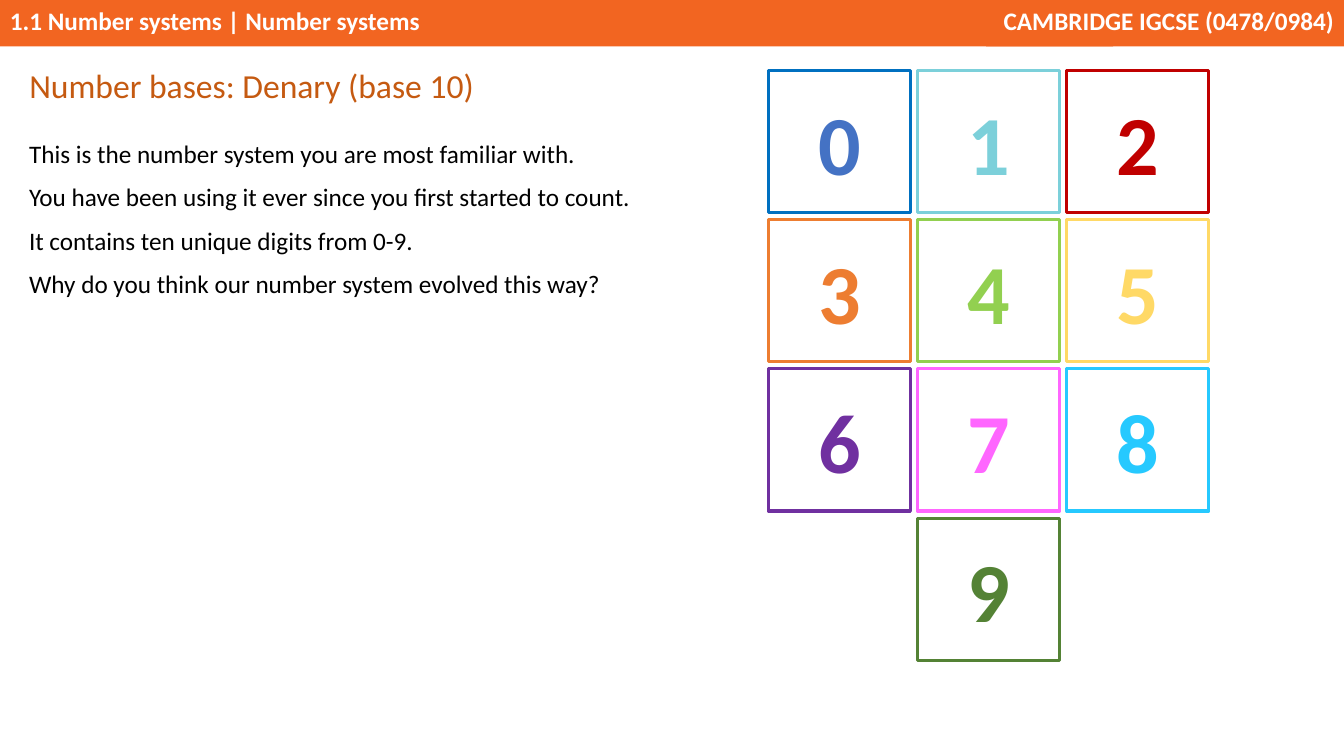
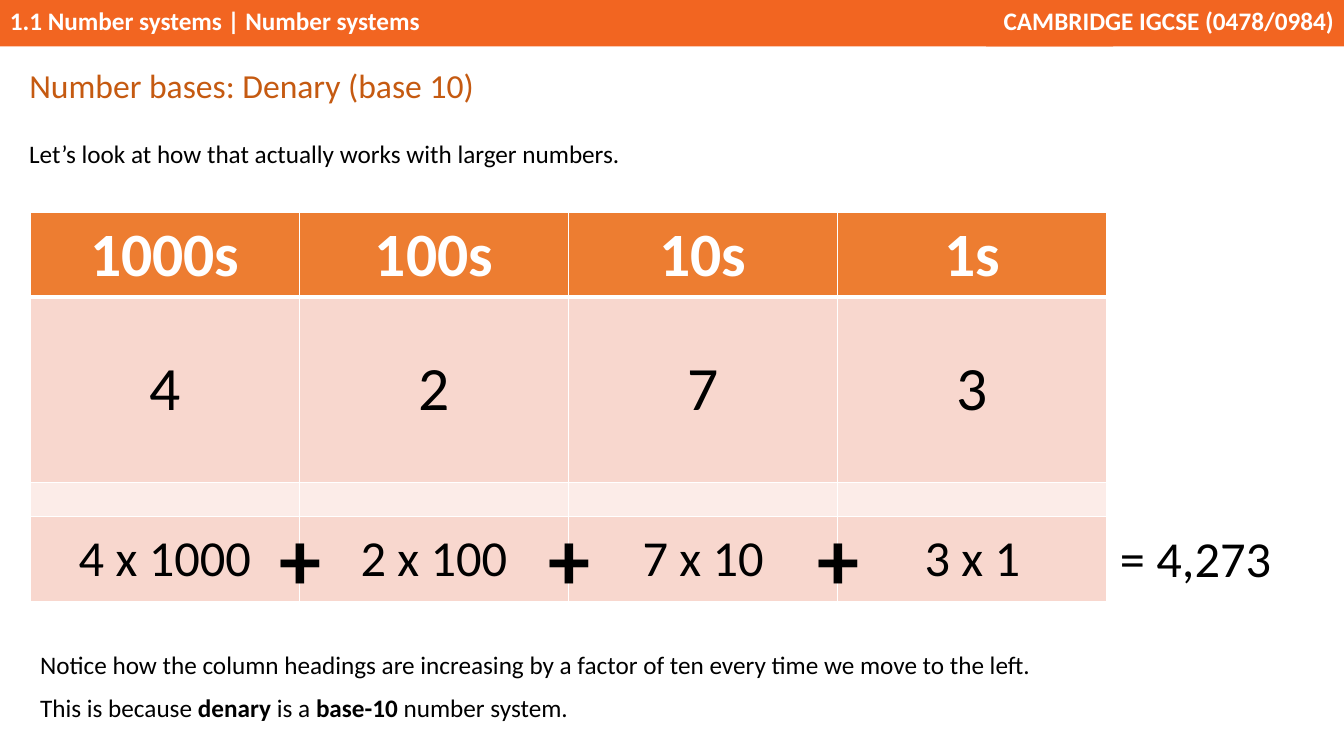
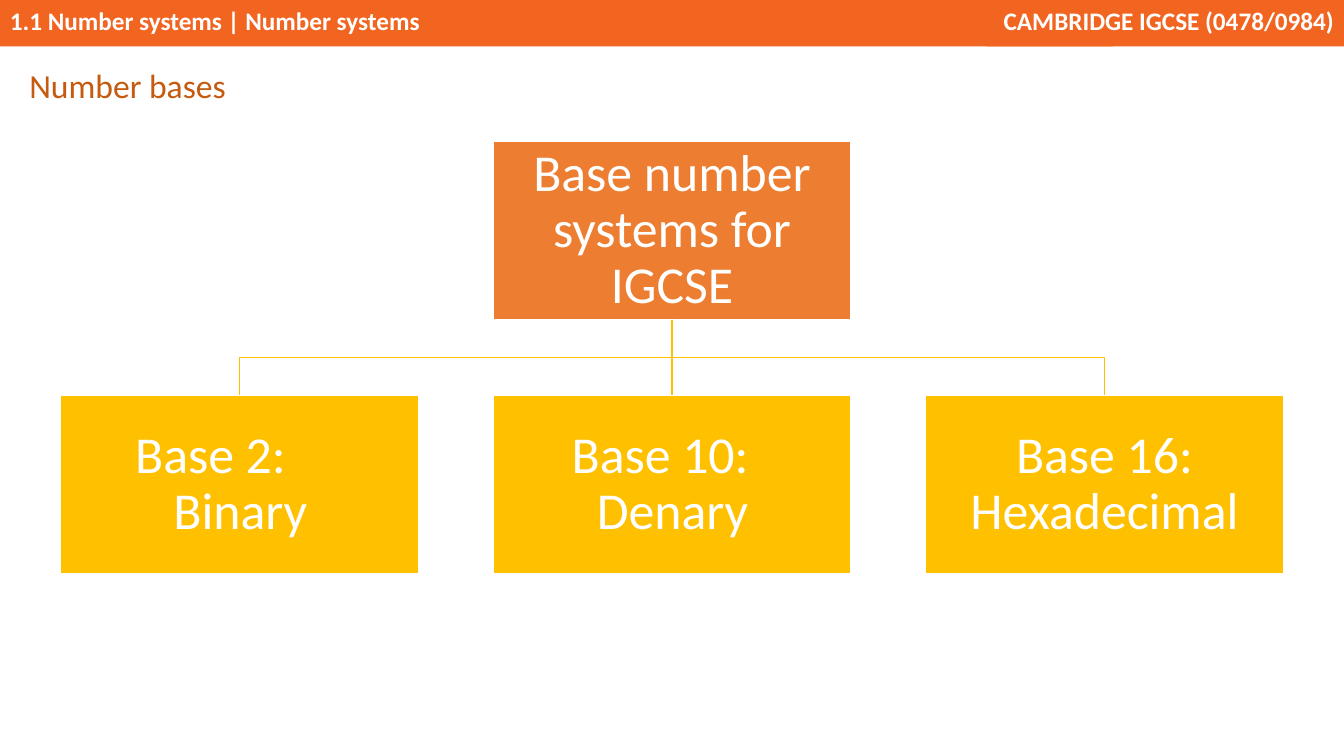
from lxml import etree
from pptx import Presentation
from pptx.dml.color import RGBColor as RGB
from pptx.enum.shapes import MSO_CONNECTOR as LINK, MSO_SHAPE as SHAPE
from pptx.enum.text import MSO_ANCHOR as ANCHOR, MSO_AUTO_SIZE as FIT, PP_ALIGN as ALIGN
from pptx.oxml.ns import qn
from pptx.util import Pt

EMU_PER_PX = 9144
FONT = "Calibri"

WHITE = RGB(0xFF, 0xFF, 0xFF)
BLACK = RGB(0x00, 0x00, 0x00)
BAND = RGB(0xF2, 0x65, 0x21)
TITLE = RGB(0xC5, 0x5A, 0x11)
ORANGE = RGB(0xED, 0x7D, 0x31)
AMBER = RGB(0xFF, 0xC0, 0x00)
PINK = RGB(0xF8, 0xD7, 0xCE)
PALE_PINK = RGB(0xFC, 0xEC, 0xE8)
BLUE = RGB(0x00, 0x70, 0xC0)
SOFT_BLUE = RGB(0x44, 0x72, 0xC4)
TEAL = RGB(0x7C, 0xD0, 0xDA)
RED = RGB(0xC0, 0x00, 0x00)
LIME = RGB(0x92, 0xD0, 0x50)
YELLOW = RGB(0xFF, 0xD9, 0x66)
PURPLE = RGB(0x70, 0x30, 0xA0)
MAGENTA = RGB(0xFF, 0x66, 0xFF)
SKY = RGB(0x26, 0xC9, 0xFF)
GREEN = RGB(0x54, 0x82, 0x35)

BODY = dict(size=18, line_spacing=1.07, space_after=8)
TILE_SIZE, TILE_PITCH = 141, 148
COLUMN_WIDTH = 267
NODE_WIDTH, NODE_HEIGHT, NODE_PITCH = 355, 177, 429


def px(*lengths):
    return [length * EMU_PER_PX for length in lengths]


def write(frame, *paragraphs, size=18, color=BLACK, bold=False, align=ALIGN.LEFT,
          line_spacing=None, space_after=None, indent=0, hanging=0):
    for index, runs in enumerate(paragraphs):
        paragraph = frame.paragraphs[0] if index == 0 else frame.add_paragraph()
        paragraph.alignment = align
        if line_spacing:
            paragraph.line_spacing = line_spacing
        if space_after is not None:
            paragraph.space_after = Pt(space_after)
        if indent:
            properties = paragraph._p.get_or_add_pPr()
            properties.set("marL", str(indent * EMU_PER_PX))
            properties.set("indent", str(-hanging * EMU_PER_PX))
        for text, strong in [(runs, bold)] if isinstance(runs, str) else runs:
            run = paragraph.add_run()
            run.text = text
            run.font.name = FONT
            run.font.size = Pt(size)
            run.font.bold = strong
            run.font.color.rgb = color


def add_text(slide, box, *paragraphs, wrap=True, **style):
    frame = slide.shapes.add_textbox(*px(*box)).text_frame
    frame.word_wrap = wrap
    write(frame, *paragraphs, **style)


def add_box(slide, box, text, fill, line=None, weight=1, anchor=ANCHOR.MIDDLE,
            inset=None, **style):
    shape = slide.shapes.add_shape(SHAPE.RECTANGLE, *px(*box))
    shape.shadow.inherit = False
    shape.fill.solid()
    shape.fill.fore_color.rgb = fill
    if line is None:
        shape.line.fill.background()
    else:
        shape.line.color.rgb = line
        shape.line.width = Pt(weight)
    frame = shape.text_frame
    frame.word_wrap = True
    frame.vertical_anchor = anchor
    if inset is not None:
        frame.margin_left = frame.margin_right = inset * EMU_PER_PX
        frame.margin_top = frame.margin_bottom = inset * EMU_PER_PX
    write(frame, text, **style)
    return shape


def add_titled_slide(prs, text, width=477):
    slide = prs.slides.add_slide(prs.slide_layouts[5])
    title = slide.shapes.title
    title.left, title.top, title.width, title.height = px(19, 57, width, 51)
    frame = title.text_frame
    frame.auto_size = FIT.NONE
    frame.word_wrap = False
    frame.vertical_anchor = ANCHOR.TOP
    write(frame, text, size=24, color=TITLE, line_spacing=1.07, space_after=8)
    return slide


def put_header_on_layout(slide):
    style = dict(fill=BAND, anchor=ANCHOR.TOP, color=WHITE, bold=True)
    topic = add_box(slide, (0, 0, 1104, 46), "1.1 Number systems | Number systems", **style)
    course = add_box(slide, (978, 0, 355, 46), "CAMBRIDGE IGCSE (0478/0984)",
                     align=ALIGN.RIGHT, **style)
    for shape_id, band in enumerate((topic, course), start=20):
        band.element.nvSpPr.cNvPr.set("id", str(shape_id))
        slide.slide_layout.shapes.element.append(band.element)


def set_borders(cell, bottom):
    properties = cell._tc.get_or_add_tcPr()
    for side, weight in (("L", 1), ("R", 1), ("T", 1), ("B", bottom)):
        border = etree.SubElement(properties, qn(f"a:ln{side}"), w=str(Pt(weight)))
        fill = etree.SubElement(border, qn("a:solidFill"))
        etree.SubElement(fill, qn("a:srgbClr"), val=str(WHITE))


def add_place_value_table(slide):
    header = dict(size=44, color=WHITE, bold=True)
    rows = [
        (82, ORANGE, ("1000s", "100s", "10s", "1s"), header),
        (184, PINK, ("4", "2", "7", "3"), dict(size=44)),
        (34, PALE_PINK, ("", "", "", ""), {}),
        (85, PINK, ("4 x 1000", "2 x 100", "7 x 10", "3 x 1"), dict(size=36)),
    ]
    height = sum(row[0] for row in rows)
    table = slide.shapes.add_table(4, 4, *px(30, 211, 4 * COLUMN_WIDTH, height)).table
    for column in table.columns:
        column.width = COLUMN_WIDTH * EMU_PER_PX
    for index, (row_height, fill, texts, style) in enumerate(rows):
        table.rows[index].height = row_height * EMU_PER_PX
        for cell, text in zip(table.rows[index].cells, texts):
            set_borders(cell, bottom=3 if index == 0 else 1)
            cell.fill.solid()
            cell.fill.fore_color.rgb = fill
            cell.vertical_anchor = ANCHOR.TOP if index == 0 else ANCHOR.MIDDLE
            if text:
                write(cell.text_frame, text, align=ALIGN.CENTER, **style)
            else:
                cell.margin_top = cell.margin_bottom = 0


def add_node(slide, left, top, text, fill, **style):
    return add_box(slide, (left, top, NODE_WIDTH, NODE_HEIGHT), text, fill, line=WHITE,
                   inset=3, size=37, color=WHITE, line_spacing=0.9, **style)


def add_branch(slide, parent, child):
    start_x = parent.left + parent.width // 2
    end_x = child.left + child.width // 2
    start_y = parent.top + parent.height
    middle_y = (start_y + child.top) // 2
    outline = slide.shapes.build_freeform(start_x, start_y)
    outline.add_line_segments(
        [(start_x, middle_y), (end_x, middle_y), (end_x, child.top)], close=False)
    branch = outline.convert_to_shape()
    branch.shadow.inherit = False
    branch.fill.background()
    branch.line.color.rgb = AMBER
    branch.line.width = Pt(1)


def add_stem(slide, parent, child):
    stem = slide.shapes.add_connector(LINK.STRAIGHT, 0, 0, 0, 0)
    stem.begin_connect(parent, 2)
    stem.end_connect(child, 0)
    stem.line.color.rgb = AMBER
    stem.line.width = Pt(1)
    etree.SubElement(stem._element.spPr, qn("a:effectLst"))


def build_digits(prs):
    slide = add_titled_slide(prs, "Number bases: Denary (base 10)")
    put_header_on_layout(slide)
    add_text(slide, (19, 130, 626, 172),
             "This is the number system you are most familiar with.",
             "You have been using it ever since you first started to count.",
             "It contains ten unique digits from 0-9.",
             "Why do you think our number system evolved this way?", **BODY)
    colors = [SOFT_BLUE, TEAL, RED, ORANGE, LIME, YELLOW, PURPLE, MAGENTA, SKY, GREEN]
    for digit, color in enumerate(colors):
        row, column = divmod(digit, 3)
        if digit == 9:
            column = 1
        box = (762 + column * TILE_PITCH, 70 + row * TILE_PITCH, TILE_SIZE, TILE_SIZE)
        add_box(slide, box, str(digit), WHITE, line=BLUE if digit == 0 else color,
                weight=2.25, size=60, color=color, bold=True, align=ALIGN.CENTER)


def build_place_values(prs):
    slide = add_titled_slide(prs, "Number bases: Denary (base 10)")
    add_text(slide, (19, 130, 647, 41),
             "Let’s look at how that actually works with larger numbers.", **BODY)
    add_place_value_table(slide)
    for column in range(1, 4):
        add_text(slide, (column * COLUMN_WIDTH, 498, 62, 111), "+", wrap=False,
                 size=60, bold=True)
    add_text(slide, (1101, 518, 214, 71), "= 4,273", size=36)
    add_text(slide, (30, 637, 1227, 85),
             "Notice how the column headings are increasing by a factor of ten "
             "every time we move to the left.",
             [("This is because ", False), ("denary", True), (" is a ", False),
              ("base-10", True), (" number system.", False)], **BODY)


def build_base_tree(prs):
    slide = add_titled_slide(prs, "Number bases", width=217)
    root = add_node(slide, 60 + NODE_PITCH, 140, "Base number systems for IGCSE", ORANGE,
                    align=ALIGN.CENTER)
    bases = [
        ("Base 2: Binary", dict(indent=109, hanging=38)),
        ("Base 10: Denary", dict(indent=100, hanging=25)),
        ("Base 16: Hexadecimal", dict(align=ALIGN.CENTER)),
    ]
    binary, denary, hexadecimal = [
        add_node(slide, 60 + index * NODE_PITCH, 392, text, AMBER, **style)
        for index, (text, style) in enumerate(bases)]
    add_branch(slide, root, binary)
    add_stem(slide, root, denary)
    add_branch(slide, root, hexadecimal)


def main():
    prs = Presentation()
    prs.slide_width, prs.slide_height = px(1333, 750)
    build_digits(prs)
    build_place_values(prs)
    build_base_tree(prs)
    prs.save("out.pptx")


if __name__ == "__main__":
    main()
